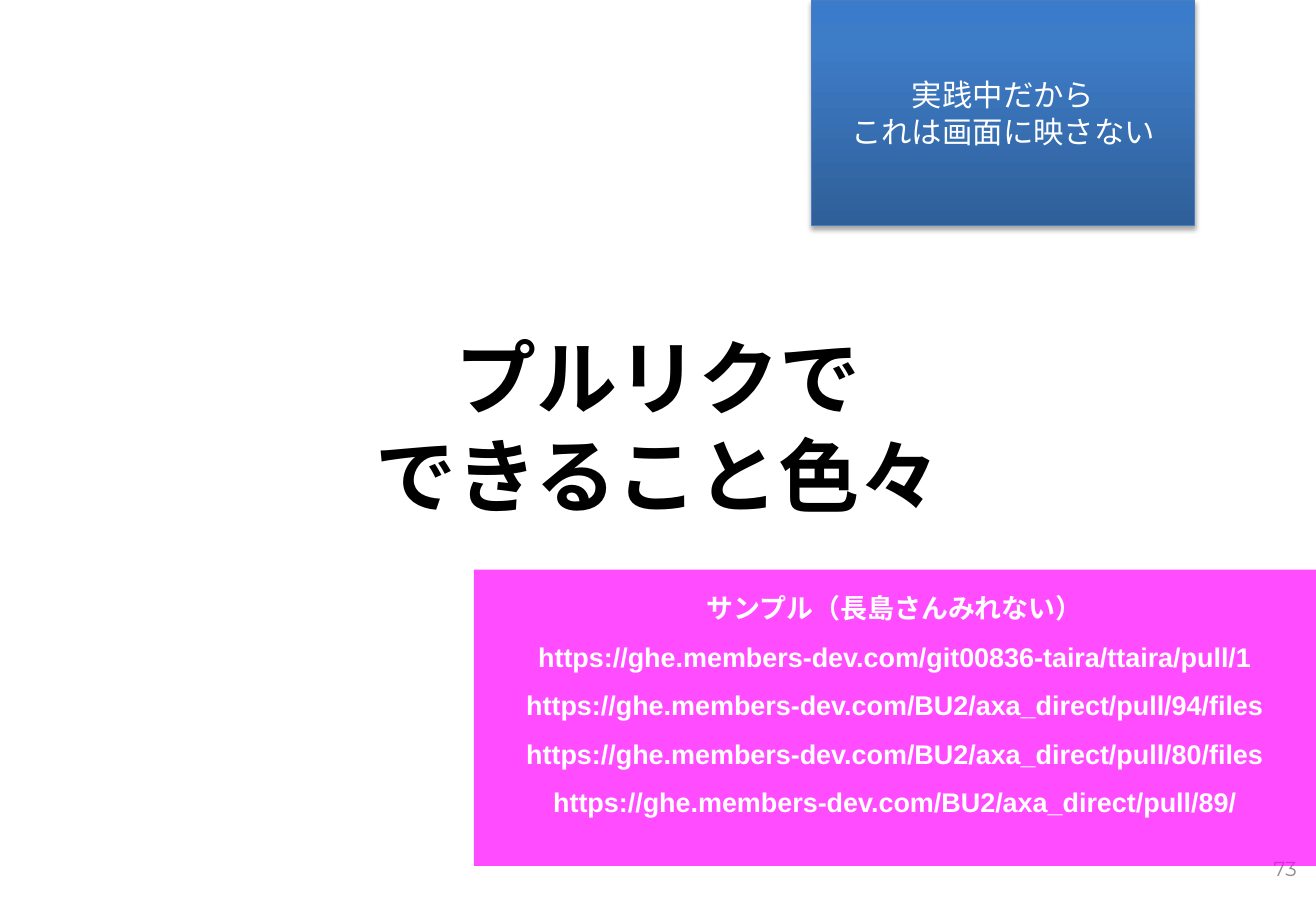
import dataclasses

import lxml.etree
import pptx
import pptx.dml.color
import pptx.enum.shapes
import pptx.enum.text
import pptx.oxml.ns
import pptx.util

ALIGN = pptx.enum.text.PP_ALIGN
ANCHOR = pptx.enum.text.MSO_ANCHOR
qn = pptx.oxml.ns.qn


@dataclasses.dataclass(frozen=True)
class TextStyle:
    size: float
    color: str
    font: str = "Arial"
    bold: bool = False
    align: ALIGN = ALIGN.CENTER
    anchor: ANCHOR = ANCHOR.TOP
    line_spacing: float = 1.0


@dataclasses.dataclass(frozen=True)
class Box:
    left: float
    top: float
    width: float
    height: float

    def lengths(self) -> list[int]:
        return [pptx.util.Inches(v) for v in dataclasses.astuple(self)]


@dataclasses.dataclass(frozen=True)
class GradientStop:
    percent: int
    color: str


def rgb(color: str) -> pptx.dml.color.RGBColor:
    return pptx.dml.color.RGBColor.from_string(color)


def write(shape, lines: list[str], style: TextStyle) -> None:
    frame = shape.text_frame
    frame.word_wrap = True
    frame.auto_size = pptx.enum.text.MSO_AUTO_SIZE.NONE
    frame.vertical_anchor = style.anchor
    for index, line in enumerate(lines):
        paragraph = frame.paragraphs[0] if index == 0 else frame.add_paragraph()
        paragraph.alignment = style.align
        paragraph.line_spacing = style.line_spacing
        run = paragraph.add_run()
        run.text = line
        run.font.name = style.font
        run.font.size = pptx.util.Pt(style.size)
        run.font.bold = style.bold
        run.font.color.rgb = rgb(style.color)


def add_rectangle(slide, box: Box):
    shape = slide.shapes.add_shape(
        pptx.enum.shapes.MSO_SHAPE.RECTANGLE, *box.lengths())
    shape.shadow.inherit = False
    return shape


def add_color(parent, color: str, alpha: int = 100) -> None:
    node = lxml.etree.SubElement(parent, qn("a:srgbClr"), val=color)
    if alpha < 100:
        lxml.etree.SubElement(node, qn("a:alpha"), val=str(alpha * 1000))


def fill_translucent(shape, color: str, alpha: int) -> None:
    shape.fill.solid()
    solid = shape._element.spPr.find(qn("a:solidFill"))
    add_color(solid, color, alpha)


def fill_gradient(shape, stops: list[GradientStop], angle: float) -> None:
    shape.fill.gradient()
    shape.fill.gradient_angle = angle
    stop_list = shape._element.spPr.find(qn("a:gradFill")).find(qn("a:gsLst"))
    for old_stop in list(stop_list):
        stop_list.remove(old_stop)
    for stop in stops:
        node = lxml.etree.SubElement(
            stop_list, qn("a:gs"), pos=str(stop.percent * 1000))
        add_color(node, stop.color)


def add_drop_shadow(shape, color: str, alpha: int, blur: float, distance: float) -> None:
    effects = shape._element.spPr.find(qn("a:effectLst"))
    shadow = lxml.etree.SubElement(
        effects, qn("a:outerShdw"),
        blurRad=str(pptx.util.Pt(blur)), dist=str(pptx.util.Pt(distance)),
        dir="5400000", rotWithShape="0")
    add_color(shadow, color, alpha)


def main() -> None:
    deck = pptx.Presentation()
    deck.slide_width = pptx.util.Inches(10.83)
    deck.slide_height = pptx.util.Inches(7.5)
    slide = deck.slides.add_slide(deck.slide_layouts[5])

    # Title
    title = slide.shapes.title
    title.left, title.top, title.width, title.height = Box(0, 2.65, 10.83, 3.07).lengths()
    write(title, ["プルリクで", "できること色々"], TextStyle(48, "000000", bold=True))

    # Page number, behind the sample panel
    page_number = slide.shapes.add_textbox(*Box(8.24, 6.95, 2.53, 0.4).lengths())
    write(page_number, ["73"], TextStyle(
        12, "8C8C8C", "Montserrat", align=ALIGN.RIGHT, anchor=ANCHOR.MIDDLE))

    # Sample pull requests
    samples = add_rectangle(slide, Box(3.9, 4.69, 6.93, 2.44))
    fill_translucent(samples, "FF00FF", 70)
    samples.line.fill.background()
    write(samples, [
        "サンプル（長島さんみれない）",
        "https://ghe.members-dev.com/git00836-taira/ttaira/pull/1",
        "https://ghe.members-dev.com/BU2/axa_direct/pull/94/files",
        "https://ghe.members-dev.com/BU2/axa_direct/pull/80/files "
        "https://ghe.members-dev.com/BU2/axa_direct/pull/89/",
    ], TextStyle(16, "FFFFFF", bold=True, line_spacing=1.5))

    # Presenter's reminder
    reminder = add_rectangle(slide, Box(6.68, 0, 3.15, 1.86))
    fill_gradient(reminder, [
        GradientStop(0, "2F5F99"),
        GradientStop(80, "3D7CC7"),
        GradientStop(100, "3A7CCB"),
    ], angle=90)
    reminder.line.color.rgb = rgb("4B7EBC")
    reminder.line.width = pptx.util.Pt(0.75)
    add_drop_shadow(reminder, "000000", alpha=35, blur=3.1, distance=1.8)
    write(reminder, ["実践中だから", "これは画面に映さない"],
          TextStyle(18, "FFFFFF", anchor=ANCHOR.MIDDLE))

    deck.save("out.pptx")


if __name__ == "__main__":
    main()
